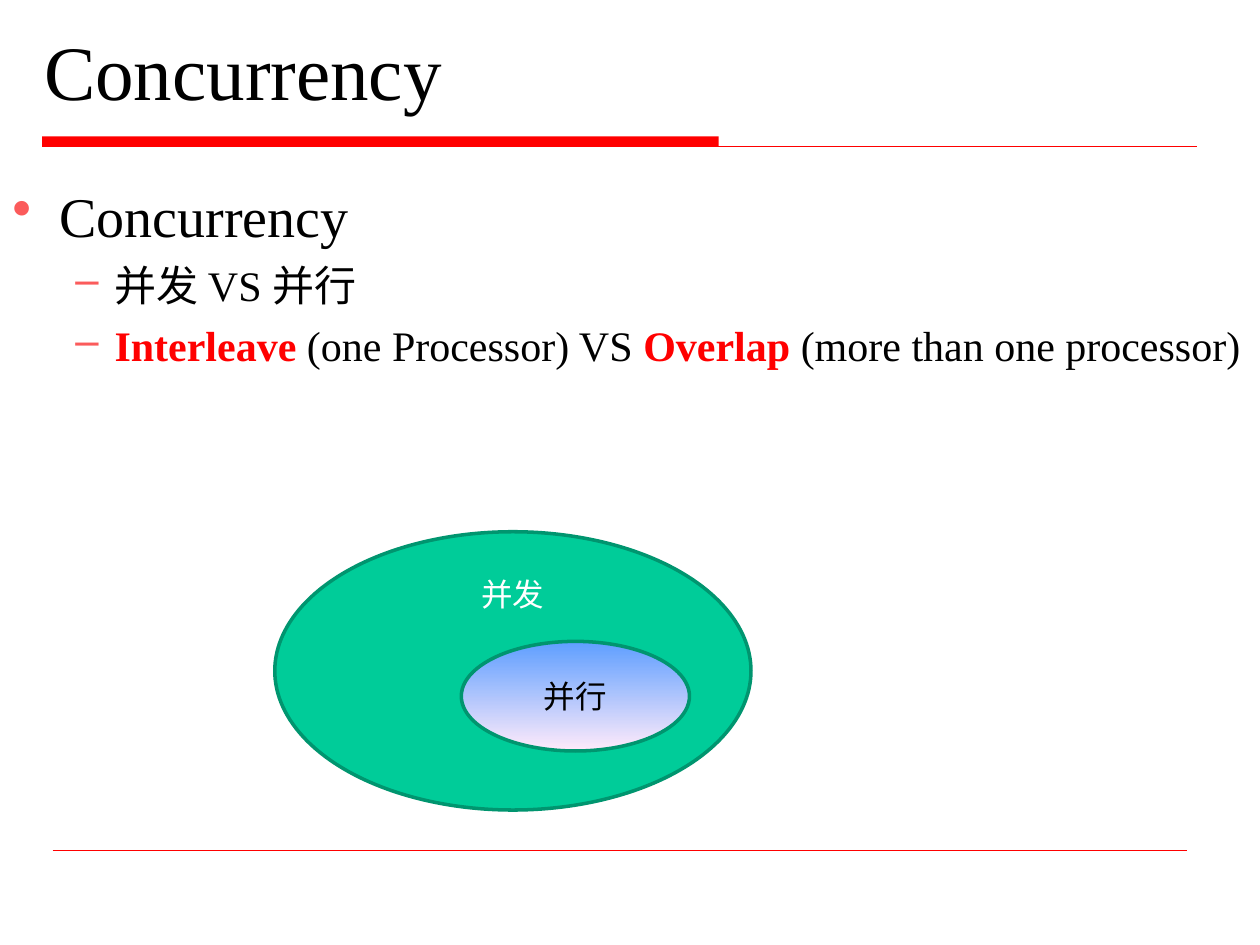
import pptx
import pptx.util
import pptx.dml.color
import pptx.enum.shapes
import pptx.enum.text
import pptx.oxml.ns
import lxml.etree

Cm = pptx.util.Cm
Pt = pptx.util.Pt
SHAPE = pptx.enum.shapes.MSO_SHAPE
ANCHOR = pptx.enum.text.MSO_ANCHOR
ALIGN = pptx.enum.text.PP_ALIGN

THEME = {
    "font": "Times New Roman",
    "red": "FF0000", "bullet": "FB5B5B", "black": "000000", "white": "FFFFFF",
    "green": "00CC99", "edge": "00956F", "gradient": ("5E9EFF", "FFEBFA"),
    "title": 44, "level 0": 32, "level 1": 24, "label": 18,
}

# Content
TITLE = "Concurrency"
# (level, [(text, emphasised)])
POINTS = [
    (0, [("Concurrency", False)]),
    (1, [("并发 VS 并行", False)]),
    (1, [("Interleave ", True), ("(one Processor) VS ", False),
         ("Overlap ", True), ("(more than one processor)", False)]),
]
LEVELS = [
    {"bullet": "•", "left": 0.95, "hang": 0.95, "before": 8},
    {"bullet": "–", "left": 2.06, "hang": 0.79, "before": 6},
]
# Boxes are (left, top, width, height) in cm
TITLE_BOX = (0.64, 0.42, 23.71, 2.33)
BODY_BOX = (0, 3.53, 25.4, 13.49)
BAR_BOX = (0.85, 2.75, 13.64, 0.21)
# (left, right, y, width in points)
RULES = [(0.85, 24.13, 2.96, 0.75), (1.06, 23.92, 17.15, 0.25)]
SETS = [
    {"text": "并发", "box": (5.54, 10.72, 9.6, 5.61), "fill": THEME["green"],
     "color": THEME["white"], "anchor": ANCHOR.TOP, "inset": 0.05},
    {"text": "并行", "box": (9.3, 12.93, 4.6, 2.21), "fill": THEME["gradient"],
     "color": THEME["black"], "anchor": ANCHOR.MIDDLE, "inset": 0.13},
]


def rgb(value):
    return pptx.dml.color.RGBColor.from_string(value)


def apply(target, values):
    for name, value in values.items():
        setattr(target, name, value)


def add_span(para, text, size, color, bold=False):
    span = para.add_run()
    span.text = text
    apply(span.font, {"name": THEME["font"], "size": Pt(size), "bold": bold})
    span.font.color.rgb = rgb(color)


def add_bullet(para, level):
    properties = para._p.get_or_add_pPr()
    properties.set("marL", str(Cm(level["left"])))
    properties.set("indent", str(-Cm(level["hang"])))
    qn = pptx.oxml.ns.qn
    holder = lxml.etree.SubElement(properties, qn("a:buClr"))
    lxml.etree.SubElement(holder, qn("a:srgbClr"), val=THEME["bullet"])
    lxml.etree.SubElement(properties, qn("a:buChar"), char=level["bullet"])


def add_text_box(page, box, anchor):
    frame = page.shapes.add_textbox(*map(Cm, box)).text_frame
    apply(frame, {"word_wrap": True, "vertical_anchor": anchor})
    return frame


def add_rule(page, left, right, y, width):
    rule = page.shapes.add_connector(
        pptx.enum.shapes.MSO_CONNECTOR.STRAIGHT, Cm(left), Cm(y), Cm(right), Cm(y))
    rule.line.width = Pt(width)
    rule.line.color.rgb = rgb(THEME["red"])
    lxml.etree.SubElement(rule._element.spPr, pptx.oxml.ns.qn("a:effectLst"))


def add_shape(page, kind, box, fill):
    shape = page.shapes.add_shape(kind, *map(Cm, box))
    shape.shadow.inherit = False
    if isinstance(fill, tuple):
        shape.fill.gradient()
        shape.fill.gradient_angle = 270
        for position, (stop, color) in enumerate(zip(shape.fill.gradient_stops, fill)):
            stop.color.rgb = rgb(color)
            stop.position = position
    else:
        shape.fill.solid()
        shape.fill.fore_color.rgb = rgb(fill)
    return shape


def main():
    deck = pptx.Presentation()
    apply(deck, {"slide_width": Cm(25.4), "slide_height": Cm(19.05)})
    page = deck.slides.add_slide(deck.slide_layouts[6])

    # Heading bar and rules
    add_shape(page, SHAPE.RECTANGLE, BAR_BOX, THEME["red"]).line.fill.background()
    for rule in RULES:
        add_rule(page, *rule)

    # Title
    para = add_text_box(page, TITLE_BOX, ANCHOR.MIDDLE).paragraphs[0]
    para.line_spacing = 0.8
    add_span(para, TITLE, THEME["title"], THEME["black"])

    # Bulleted points
    frame = add_text_box(page, BODY_BOX, ANCHOR.TOP)
    for index, (depth, spans) in enumerate(POINTS):
        para = frame.add_paragraph() if index else frame.paragraphs[0]
        add_bullet(para, LEVELS[depth])
        para.level = depth
        if index:
            para.space_before = Pt(LEVELS[depth]["before"])
        for text, strong in spans:
            color = THEME["red" if strong else "black"]
            add_span(para, text, THEME[f"level {depth}"], color, strong)

    # Nested sets
    for item in SETS:
        oval = add_shape(page, SHAPE.OVAL, item["box"], item["fill"])
        oval.line.width = Pt(2)
        oval.line.color.rgb = rgb(THEME["edge"])
        apply(oval.text_frame, {
            "word_wrap": True, "vertical_anchor": item["anchor"],
            "margin_top": Cm(item["inset"]), "margin_bottom": Cm(item["inset"])})
        para = oval.text_frame.paragraphs[0]
        para.alignment = ALIGN.CENTER
        add_span(para, item["text"], THEME["label"], item["color"])

    deck.save("out.pptx")


if __name__ == "__main__":
    main()
